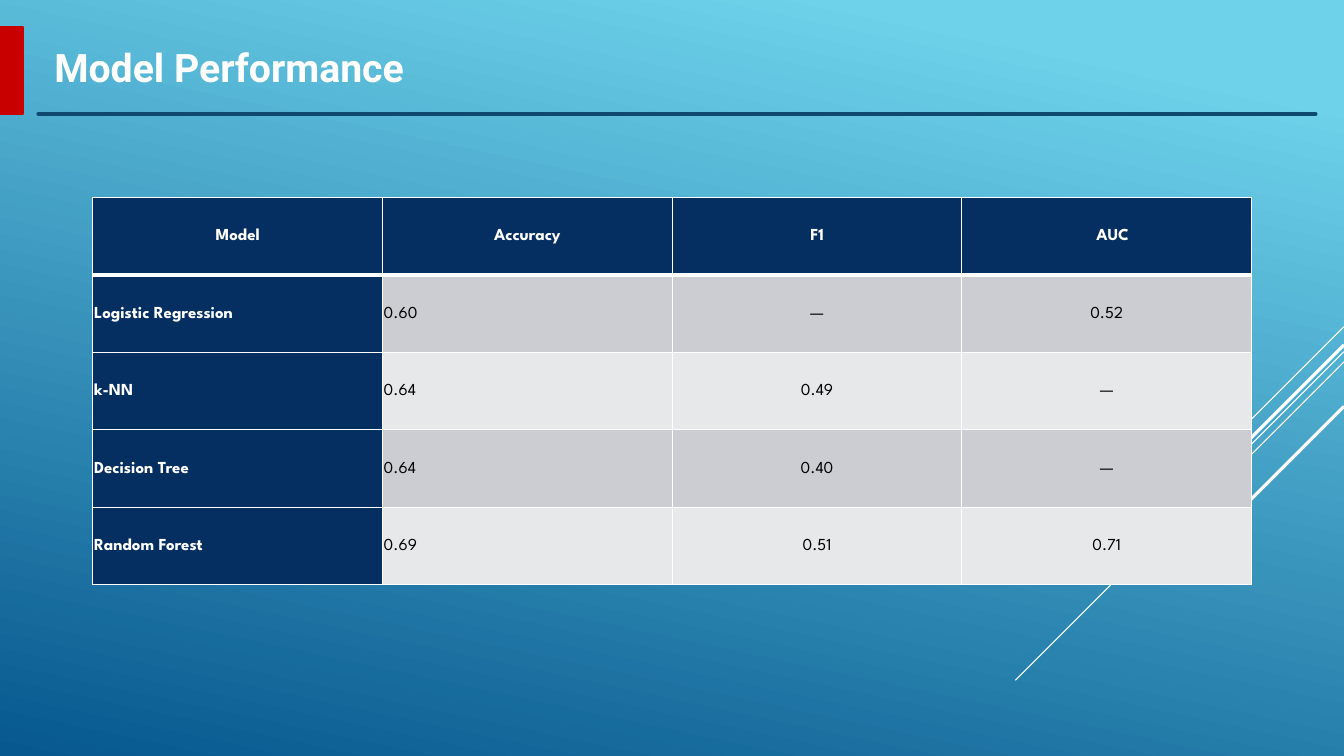
"""Build the Model Performance slide with its table of scores."""
from dataclasses import dataclass

from lxml.etree import SubElement
from pptx import Presentation
from pptx.dml.color import RGBColor
from pptx.enum.shapes import MSO_CONNECTOR, MSO_SHAPE
from pptx.enum.text import MSO_ANCHOR as Anchor, PP_ALIGN as Align
from pptx.oxml.ns import qn
from pptx.util import Cm, Pt

TITLE = "Model Performance"
HEADER = ("Model", "Accuracy", "F1", "AUC")
SCORES = [
    ("Logistic Regression", "0.60", "—", "0.52"),
    ("k-NN", "0.64", "0.49", "—"),
    ("Decision Tree", "0.64", "0.40", "—"),
    ("Random Forest", "0.69", "0.51", "0.71"),
]
DIAGONALS = [
    (8.23, 2.54, 0.75),
    (8.86, 8.28, 0.75),
    (9.12, 5.26, 0.75),
    (8.69, 4.85, 2.25),
    (10.24, 3.53, 2.25),
]
SLIDE_WIDTH, SLIDE_HEIGHT = 33.87, 19.05
TABLE_LEFT, TABLE_TOP = 2.34, 4.98
COLUMN_WIDTH, ROW_HEIGHT = 7.3, 1.95
CELL_INSET, AUC_INSET = 0.03, 0.33


@dataclass(frozen=True)
class Theme:
    """Colours, fonts and type sizes."""
    sky: str = "6ED2EB"
    deep: str = "06588E"
    white: str = "FFFFFF"
    black: str = "000000"
    accent: str = "C80000"
    rule: str = "0F496F"
    navy: str = "052F61"
    bands: tuple = ("CCCDD2", "E7E8EA")
    title_font: str = "Roboto"
    table_font: str = "League Spartan"
    title_size: int = 28
    table_size: int = 12


THEME = Theme()


def rgb(value):
    """Turn a hex string into a colour."""
    return RGBColor.from_string(value)


def paint_background(slide):
    """Fill the slide with the slanted gradient."""
    fill = slide.background.fill
    fill.gradient()
    fill.gradient_angle = 360 - 102
    stops = ((0.1, THEME.sky), (1, THEME.deep))
    for stop, (position, colour) in zip(fill.gradient_stops, stops):
        stop.position = position
        stop.color.rgb = rgb(colour)


def add_line(slide, start, end, colour, width):
    """Draw a straight line without shadow."""
    points = [Cm(value) for value in (*start, *end)]
    line = slide.shapes.add_connector(MSO_CONNECTOR.STRAIGHT, *points)
    line.line.color.rgb = rgb(colour)
    line.line.width = Pt(width)
    SubElement(line.element.spPr, qn("a:effectLst"))
    return line


def add_run(paragraph, text, font_name, size, colour, bold):
    """Add one formatted run."""
    run = paragraph.add_run()
    run.text = text
    run.font.name = font_name
    run.font.size = Pt(size)
    run.font.bold = bold
    run.font.color.rgb = rgb(colour)


def add_title(slide):
    """Add the title, the red tab and the rule below."""
    box = slide.shapes.add_textbox(Cm(1.12), Cm(1.14), Cm(12.93), Cm(1.24))
    box.text_frame.word_wrap = True
    paragraph = box.text_frame.paragraphs[0]
    paragraph.line_spacing = Pt(29)
    paragraph.space_after = Pt(6)
    add_run(paragraph, TITLE, THEME.title_font, THEME.title_size, THEME.white, True)

    tab = slide.shapes.add_shape(MSO_SHAPE.RECTANGLE, 0, Cm(0.69), Cm(0.58), Cm(2.18))
    tab.shadow.inherit = False
    tab.fill.solid()
    tab.fill.fore_color.rgb = rgb(THEME.accent)
    tab.line.color.rgb = rgb(THEME.accent)
    tab.line.width = Pt(1.25)

    rule = add_line(slide, (0.97, 2.87), (33.15, 2.87), THEME.rule, 3)
    rule.line._get_or_add_ln().set("cap", "rnd")


def set_borders(cell, top, bottom):
    """Give a cell white borders, ahead of its fill."""
    properties = cell._tc.get_or_add_tcPr()
    widths = (("lnL", 1), ("lnR", 1), ("lnT", top), ("lnB", bottom))
    for index, (side, width) in enumerate(widths):
        border = SubElement(properties, qn(f"a:{side}"), w=str(Pt(width)))
        fill = SubElement(border, qn("a:solidFill"))
        SubElement(fill, qn("a:srgbClr"), val=THEME.white)
        properties.insert(index, border)


def fill_cell(cell, text, row, column):
    """Write and style one cell by its place in the table."""
    is_label = row == 0 or column == 0
    cell.vertical_anchor = Anchor.MIDDLE
    cell.margin_right = cell.margin_top = cell.margin_bottom = Cm(CELL_INSET)
    cell.margin_left = Cm(AUC_INSET if text == "AUC" else CELL_INSET)
    cell.fill.solid()
    cell.fill.fore_color.rgb = rgb(THEME.navy if is_label else THEME.bands[(row - 1) % 2])
    set_borders(cell, 3 if row == 1 else 1, 3 if row == 0 else 1)
    paragraph = cell.text_frame.paragraphs[0]
    paragraph.alignment = Align.CENTER if row == 0 or column > 1 else Align.LEFT
    paragraph.line_spacing = 1.07
    paragraph.space_after = Pt(8)
    colour = THEME.white if is_label else THEME.black
    add_run(paragraph, text, THEME.table_font, THEME.table_size, colour, is_label)


def add_scores(slide):
    """Add the table of scores."""
    rows = [HEADER, *SCORES]
    table = slide.shapes.add_table(
        len(rows), len(HEADER), Cm(TABLE_LEFT), Cm(TABLE_TOP),
        Cm(COLUMN_WIDTH * len(HEADER)), Cm(ROW_HEIGHT * len(rows))).table
    for column in table.columns:
        column.width = Cm(COLUMN_WIDTH)
    for row_index, row in enumerate(rows):
        table.rows[row_index].height = Cm(ROW_HEIGHT)
        for column_index, text in enumerate(row):
            fill_cell(table.cell(row_index, column_index), text, row_index, column_index)


def main():
    """Build and save the presentation."""
    presentation = Presentation()
    presentation.slide_width = Cm(SLIDE_WIDTH)
    presentation.slide_height = Cm(SLIDE_HEIGHT)
    slide = presentation.slides.add_slide(presentation.slide_layouts[6])
    paint_background(slide)
    for top, reach, width in DIAGONALS:
        add_line(slide, (SLIDE_WIDTH, top), (SLIDE_WIDTH - reach, top + reach),
                 THEME.white, width)
    add_title(slide)
    add_scores(slide)
    presentation.save("out.pptx")


if __name__ == "__main__":
    main()
